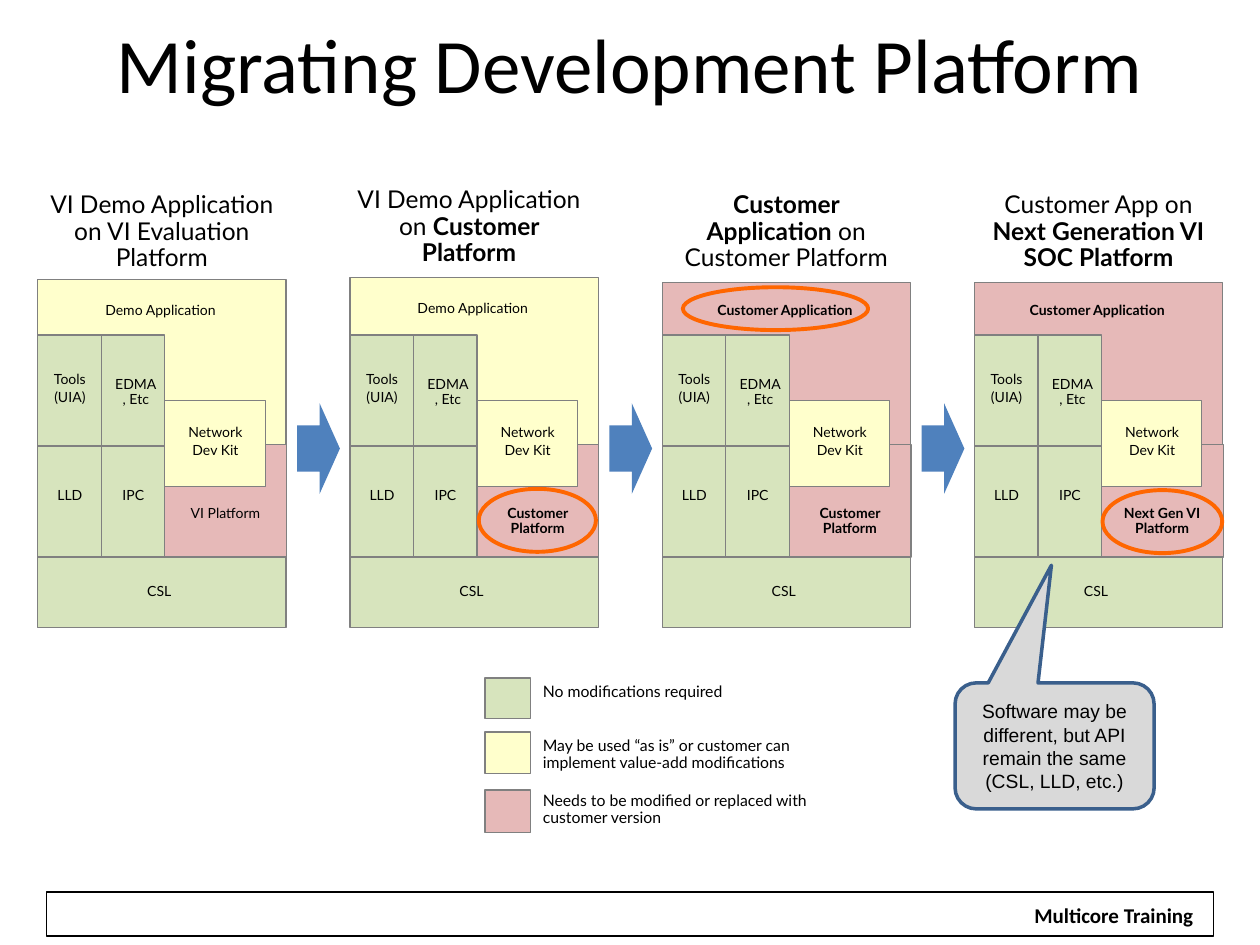
from pptx import Presentation
from pptx.dml.color import RGBColor
from pptx.enum.shapes import MSO_SHAPE
from pptx.enum.text import MSO_ANCHOR, PP_ALIGN
from pptx.util import Inches, Pt

RECT = MSO_SHAPE.RECTANGLE
OVAL = MSO_SHAPE.OVAL
ARROW = MSO_SHAPE.RIGHT_ARROW
BUBBLE = MSO_SHAPE.ROUNDED_RECTANGULAR_CALLOUT
LEFT, MID = PP_ALIGN.LEFT, PP_ALIGN.CENTER
CENTER = MSO_ANCHOR.MIDDLE

GREEN, YELLOW, PINK = "D7E4BD", "FFFFCC", "E6B9B8"
GRAY, ORANGE, BLUE, BLACK = "808080", "FF6600", "4F81BD", "000000"
COLS, ROWS = 100, 75
START, PITCH = 3, 24.78


def color(code):
    return RGBColor.from_string(code)


class Deck:
    def __init__(self):
        self.show = Presentation()
        self.show.slide_width = Inches(10)
        self.show.slide_height = Inches(7.5)
        self.col = self.show.slide_width / COLS
        self.row = self.show.slide_height / ROWS
        self.slide = self.show.slides.add_slide(self.show.slide_layouts[5])
        self.home = self.slide.shapes

    def cells(self, x, y, w, h):
        return (round(x * self.col), round(y * self.row),
                round(w * self.col), round(h * self.row))

    def group(self):
        self.home = self.slide.shapes.add_group_shape().shapes

    def ungroup(self):
        self.home = self.slide.shapes

    def words(self, frame, lines, size, font="Lato", bold=False, align=MID, lead=None):
        for i, line in enumerate(lines):
            para = frame.add_paragraph() if i else frame.paragraphs[0]
            para.alignment = align
            if lead:
                para.line_spacing = lead
            para.space_before = Pt(0.2 * size if i else 0)
            para.font.name = font
            para.font.size = Pt(size)
            para.font.color.rgb = color(BLACK)
            para.font.bold = bold
            for n, part in enumerate(line.split("*")):
                if part:
                    run = para.add_run()
                    run.text = part
                    if n % 2:
                        run.font.bold = True

    def title(self, box, text):
        head = self.slide.shapes.title
        head.left, head.top, head.width, head.height = self.cells(*box)
        head.text_frame.vertical_anchor = CENTER
        self.words(head.text_frame, [text], 44, "Calibri")

    def shape(self, box, fill=None, line=GRAY, width=0.75, kind=RECT, adjust=()):
        item = self.home.add_shape(kind, *self.cells(*box))
        item.shadow.inherit = False
        for n, value in enumerate(adjust):
            item.adjustments[n] = value
        if fill:
            item.fill.solid()
            item.fill.fore_color.rgb = color(fill)
        else:
            item.fill.background()
        if line:
            item.line.color.rgb = color(line)
            item.line.width = Pt(width)
        else:
            item.line.fill.background()
        return item

    def ring(self, box):
        self.shape(box, line=ORANGE, width=2.25, kind=OVAL)

    def label(self, box, *lines, size=8, bold=False, align=MID):
        frame = self.home.add_textbox(*self.cells(*box)).text_frame
        frame.word_wrap = True
        self.words(frame, lines, size, bold=bold, align=align, lead=0.9)

    def footer(self, text):
        self.shape((3.7, 70.8, 92.6, 3.5), line=BLACK)
        plate = self.shape((81, 71.3, 14.8, 2.6), "FFFFFF", None)
        plate.text_frame.word_wrap = False
        plate.text_frame.vertical_anchor = CENTER
        self.words(plate.text_frame, [text], 12, "Calibri", True)

    def legend(self, rows):
        self.group()
        for top, tall, shift, fill, text in rows:
            self.shape((38.5, top, 3.6, tall), fill)
            self.label((42.1, top + shift, 23.5, 3.7), text, size=9, align=LEFT)
        self.ungroup()

    def stack(self, x, head, app, base, fill, ground, top, tall, shift):
        self.group()
        self.shape((x, top, 19.7, tall), fill)
        if x > START:
            self.shape((x - 4.2, 32, 3.4, 7.2), BLUE, None, kind=ARROW,
                       adjust=(0.51, 0.474))
        self.shape((x, 44.2, 19.7, 5.6), GREEN)
        self.label((x, 45.9, 19.3, 2.2), "CSL")
        self.shape((x + 10.05, 35.3, 9.7, 8.9), ground)
        self.label((x + 10.05, 39.7, 9.7, 3.4), base, bold=base != "VI Platform")
        self.shape((x + 10.05, 31.8, 8, 6.8), YELLOW)
        self.label((x + 10.05, 33.3, 8.1, 3.7), "Network", "Dev Kit")
        for col in range(2):
            for row in range(2):
                self.shape((x + 5.03 * col, 26.6 + 8.8 * row, 5.05, 8.8), GREEN)
        self.label((x, 29.1, 5.1, 3.7), "Tools", "(UIA)")
        self.label((x + 5.03, 29.5, 5.5, 3.4), "EDMA, Etc")
        self.label((x, 38.3, 5.1, 2.2), "LLD")
        self.label((x + 5.03, 38.3, 5.1, 2.2), "IPC")
        self.label((x + 2 * shift, 14.8 + 2 * shift, 19.7, 7.3), head, size=14)
        self.label((x - 0.25, 23.6 + shift, 20, 2.2), app, bold=fill == PINK)
        self.ungroup()


def main():
    deck = Deck()
    deck.title((5, 0.8, 90, 8.3), "Migrating Development Platform")
    deck.footer("Multicore Training")
    deck.legend([
        (53.8, 3.2, 0, GREEN, "No modifications required"),
        (58.1, 3.3, 0, YELLOW,
         "May be used “as is” or customer can implement value-add modifications"),
        (62.7, 3.4, -0.3, PINK, "Needs to be modified or replaced with customer version"),
    ])
    stages = [
        ("VI Demo Application on VI Evaluation Platform", "Demo Application",
         "VI Platform", YELLOW, PINK, 22.2, 22, 0),
        ("VI Demo Application on *Customer Platform*", "Demo Application",
         "Customer Platform", YELLOW, PINK, 22, 22, -0.2),
        ("*Customer Application* on Customer Platform", "Customer Application",
         "Customer Platform", PINK, PINK, 22.4, 13, 0),
        ("Customer App on *Next Generation VI SOC Platform*", "Customer Application",
         "Next Gen VI Platform", PINK, PINK, 22.4, 13, 0),
    ]
    for n, stage in enumerate(stages):
        deck.stack(START + n * PITCH, *stage)
    for box in ((54.2, 22.8, 14.7, 3.4), (38, 38.8, 9.3, 5), (87.5, 38.9, 9.5, 5)):
        deck.ring(box)
    note = deck.shape((75.8, 54.2, 15.8, 10), "D9D9D9", "3A5F8C", 2, BUBBLE,
                      (-0.016, -1.434, 0.167))
    note.text_frame.word_wrap = True
    note.text_frame.vertical_anchor = CENTER
    deck.words(note.text_frame,
               ["Software may be different, but API remain the same (CSL, LLD, etc.)"],
               11, "Arial")
    deck.show.save("out.pptx")


if __name__ == "__main__":
    main()
